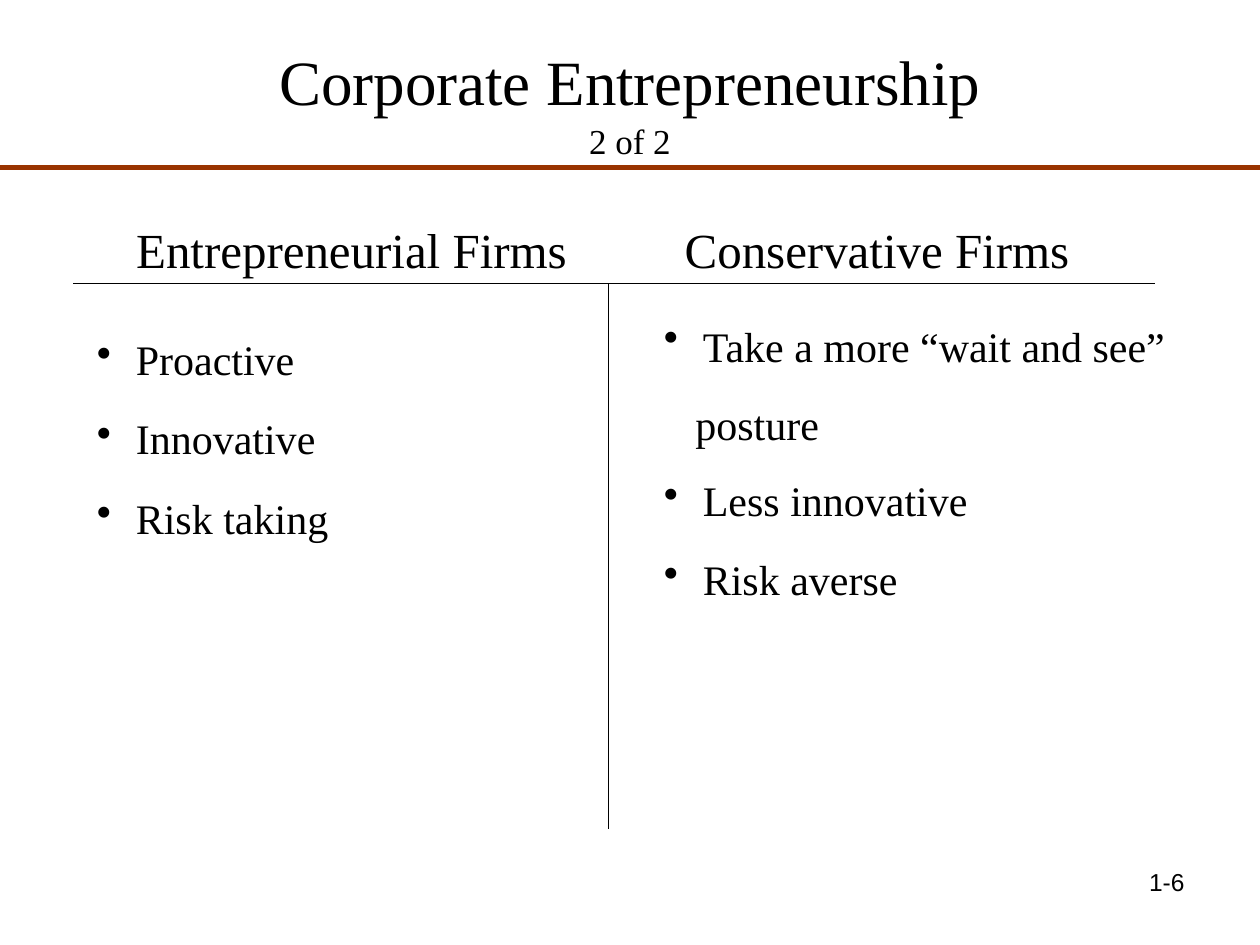
"""Build the slide comparing entrepreneurial and conservative firms."""
from lxml.etree import SubElement
from pptx import Presentation
from pptx.dml.color import RGBColor
from pptx.enum.shapes import MSO_CONNECTOR
from pptx.enum.text import MSO_ANCHOR, PP_ALIGN
from pptx.oxml.ns import qn
from pptx.util import Inches, Pt

BLACK = RGBColor(0x00, 0x00, 0x00)
RUST = RGBColor(0x99, 0x33, 0x00)
SERIF = "Times New Roman"
SANS = "Arial"
HANG = 0.31


def add_span(para, text, size, font=SERIF):
    span = para.add_run()
    span.text = text
    span.font.size = Pt(size)
    span.font.name = font
    span.font.color.rgb = BLACK


def add_box(page, left, top, width, height):
    box = page.shapes.add_textbox(Inches(left), Inches(top), Inches(width), Inches(height))
    box.text_frame.word_wrap = True
    return box.text_frame


deck = Presentation()
deck.slide_width = Inches(10)
deck.slide_height = Inches(7.5)
page = deck.slides.add_slide(deck.slide_layouts[5])

title = page.shapes.title
title.left, title.top = Inches(0.5), Inches(0.17)
title.width, title.height = Inches(9), Inches(1.25)
title.text_frame.vertical_anchor = MSO_ANCHOR.MIDDLE
title_para = title.text_frame.paragraphs[0]
title_para.alignment = PP_ALIGN.CENTER
title_para.line_spacing = 1.05
add_span(title_para, "Corporate Entrepreneurship", 36)
title_para.add_line_break()
add_span(title_para, "2 of 2", 20)

rules = [
    (0, 1.33, 10, 1.33, RUST, 3),
    (4.83, 2.25, 4.83, 6.58, BLACK, 0.75),
    (0.58, 2.25, 9.17, 2.25, BLACK, 0.75),
]
for x1, y1, x2, y2, color, weight in rules:
    rule = page.shapes.add_connector(
        MSO_CONNECTOR.STRAIGHT, Inches(x1), Inches(y1), Inches(x2), Inches(y2)
    )
    rule.line.color.rgb = color
    rule.line.width = Pt(weight)
    SubElement(rule._element.spPr, qn("a:effectLst"))

for heading, left, width in [("Entrepreneurial Firms", 0.83, 3.92), ("Conservative Firms", 5.17, 3.58)]:
    para = add_box(page, left, 1.67, width, 0.57).paragraphs[0]
    para.alignment = PP_ALIGN.CENTER
    para.line_spacing = 1.05
    add_span(para, heading, 28)

firm_lists = [
    ((0.67, 2.58, 4.08, 1.72), [
        ("Proactive", True, 1.05, 0),
        ("Innovative", True, 1.05, 15),
        ("Risk taking", True, 1.05, 15),
    ]),
    ((5.17, 2.67, 4.33, 2.13), [
        ("Take a more “wait and see”", True, 0.5, 0),
        ("posture", False, 0.5, 30),
        ("Less innovative", True, 1.05, 15),
        ("Risk averse", True, 1.05, 15),
    ]),
]
for place, items in firm_lists:
    frame = add_box(page, *place)
    for index, (text, bulleted, spacing, before) in enumerate(items):
        para = frame.add_paragraph() if index else frame.paragraphs[0]
        properties = para._p.get_or_add_pPr()
        if bulleted:
            properties.set("marL", str(Inches(HANG)))
            properties.set("indent", str(-Inches(HANG)))
            SubElement(properties, qn("a:buChar"), char="•")
        else:
            properties.set("marL", str(Inches(0.25)))
        para.line_spacing = spacing
        if index:
            para.space_before = Pt(before)
        add_span(para, text, 24)

number = add_box(page, 7.17, 6.83, 2.33, 0.52).paragraphs[0]
number.alignment = PP_ALIGN.RIGHT
add_span(number, "1-6", 14, SANS)

deck.save("out.pptx")
